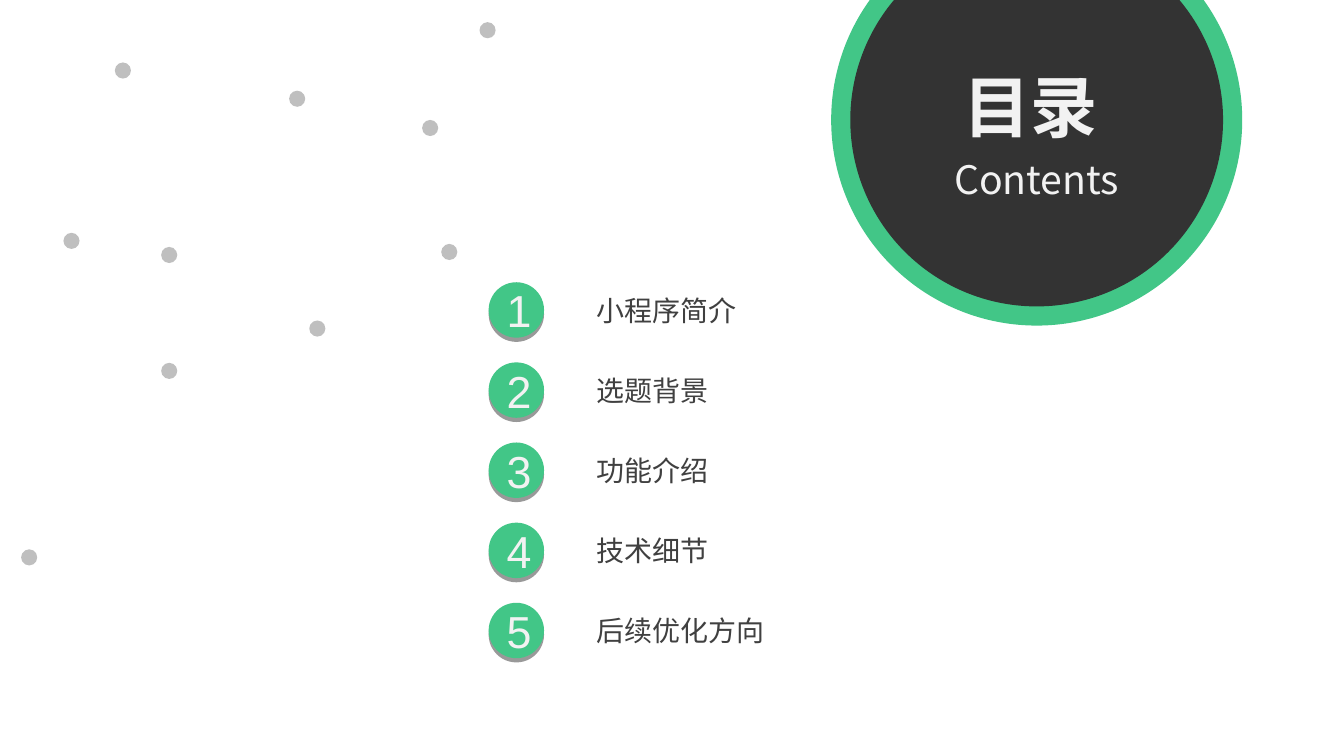
"""Build a contents slide with five numbered topics and a large corner title."""
from lxml.etree import SubElement
from pptx import Presentation
from pptx.dml.color import RGBColor
from pptx.enum.shapes import MSO_SHAPE
from pptx.enum.text import MSO_ANCHOR, MSO_AUTO_SIZE, PP_ALIGN
from pptx.oxml.ns import qn
from pptx.util import Inches, Pt

COLORS = {
    "green": "42C687",
    "dark": "333333",
    "dot": "BFBFBF",
    "light": "F2F2F2",
    "topic": "404040",
    "shadow": "000000",
}
LATIN, CHINESE = "Arial", "Noto Sans CJK SC"

deck = Presentation()
deck.slide_width, deck.slide_height = Inches(13.34), Inches(7.5)
slide = deck.slides.add_slide(deck.slide_layouts[6])


def add_disc(left, top, size, color):
    disc = slide.shapes.add_shape(
        MSO_SHAPE.OVAL, Inches(left), Inches(top), Inches(size), Inches(size))
    disc.fill.solid()
    disc.fill.fore_color.rgb = RGBColor.from_string(COLORS[color])
    disc.line.fill.background()
    disc.shadow.inherit = False
    return disc


def write(paragraph, text, size, color, font=CHINESE, bold=False,
          align=PP_ALIGN.LEFT, spacing=1.0):
    paragraph.alignment = align
    paragraph.line_spacing = spacing
    run = paragraph.add_run()
    run.text = text
    run.font.size, run.font.bold, run.font.name = Pt(size), bold, font
    run.font.color.rgb = RGBColor.from_string(COLORS[color])
    SubElement(run.font._element, qn("a:ea"), typeface=font)


dots = [
    (4.76, 0.22), (4.19, 1.19), (4.38, 2.42), (3.07, 3.18), (1.6, 2.45),
    (2.87, 0.9), (0.63, 2.31), (1.14, 0.62), (0.21, 5.45), (1.6, 3.6),
]
for left, top in dots:
    add_disc(left, top, 0.16, "dot")

topics = ["小程序简介", "选题背景", "功能介绍", "技术细节", "后续优化方向"]
number_column, topic_column = 4.85, 5.82
first_row, last_row = 2.8, 5.98
row_pitch = (last_row - first_row) / (len(topics) - 1)
character_width, side_margins = 0.28, 0.2

for index, topic in enumerate(topics):
    row = first_row + index * row_pitch

    number = add_disc(number_column, row, 0.55, "green")
    effects = number._element.spPr.find(qn("a:effectLst"))
    shadow = SubElement(effects, qn("a:outerShdw"), blurRad="0",
                        dist=str(Pt(3)), dir="5400000", algn="t", rotWithShape="0")
    shade = SubElement(shadow, qn("a:srgbClr"), val=COLORS["shadow"])
    SubElement(shade, qn("a:alpha"), val="40000")
    number.text_frame.vertical_anchor = MSO_ANCHOR.MIDDLE
    write(number.text_frame.paragraphs[0], str(index + 1), 32, "light",
          font=LATIN, align=PP_ALIGN.CENTER)

    label = slide.shapes.add_textbox(
        Inches(topic_column), Inches(row + 0.06),
        Inches(len(topic) * character_width + side_margins), Inches(0.44)).text_frame
    label.word_wrap = False
    label.auto_size = MSO_AUTO_SIZE.SHAPE_TO_FIT_TEXT
    write(label.paragraphs[0], topic, 20, "topic")

ring_left, ring_top, ring_size, ring_width = 8.25, -0.85, 4.08, 0.19
add_disc(ring_left, ring_top, ring_size, "green")
add_disc(ring_left + ring_width, ring_top + ring_width,
         ring_size - 2 * ring_width, "dark")

heading = slide.shapes.add_textbox(
    Inches(8.48), Inches(0.44), Inches(3.62), Inches(1.62)).text_frame
heading.word_wrap = True
heading.auto_size = MSO_AUTO_SIZE.SHAPE_TO_FIT_TEXT
centred = {"color": "light", "align": PP_ALIGN.CENTER, "spacing": 1.2}
write(heading.paragraphs[0], "目录", 48, bold=True, **centred)
write(heading.paragraphs[0], " ", 40, bold=True, **centred)
write(heading.add_paragraph(), "Contents", 28, **centred)

deck.save("out.pptx")
